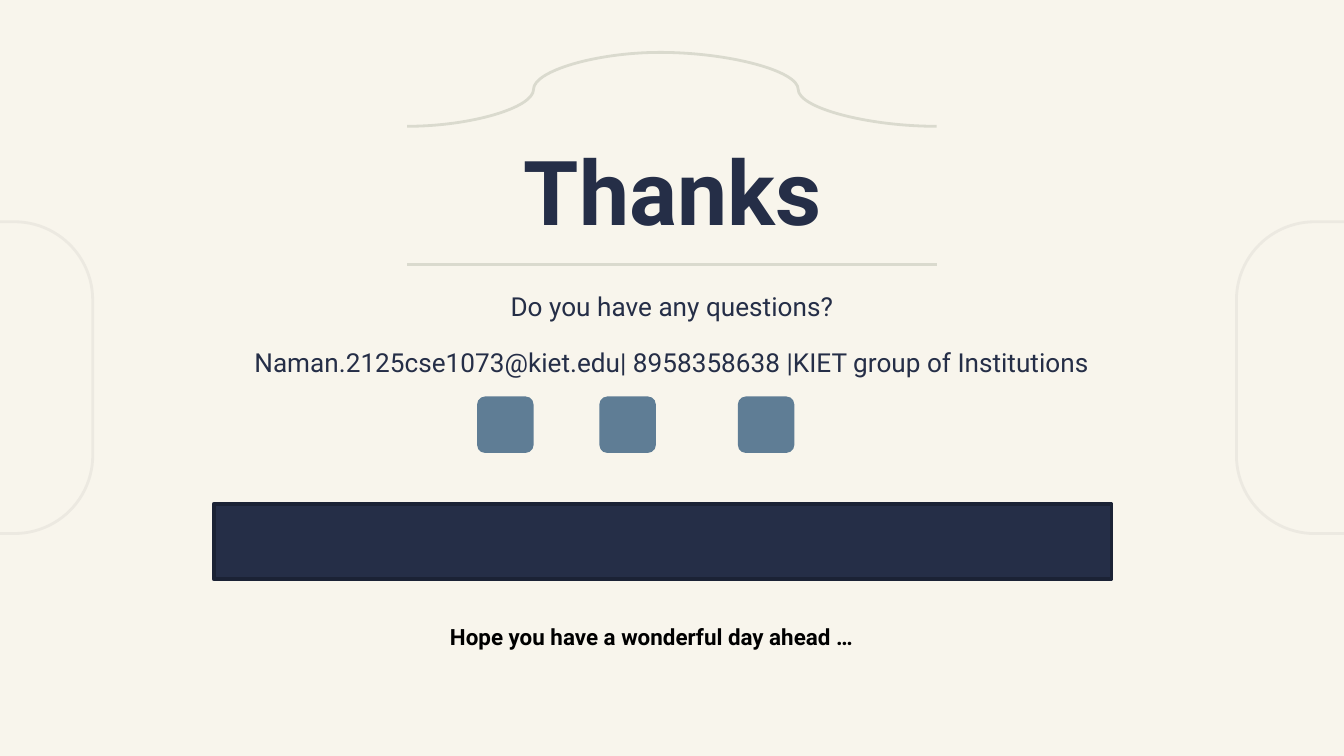
from lxml.etree import SubElement
from pptx import Presentation
from pptx.dml.color import RGBColor
from pptx.enum.shapes import MSO_CONNECTOR, MSO_SHAPE
from pptx.enum.text import MSO_ANCHOR, PP_ALIGN
from pptx.oxml.ns import qn
from pptx.util import Inches, Pt

# Content
TITLE = "Thanks"
CONTACT = [
    "Do you have any questions?",
    "Naman.2125cse1073@kiet.edu| 8958358638 |KIET group of Institutions",
]
CLOSING = "Hope you have a wonderful day ahead …"

# Positions in inches
SIDE_FRAME_LEFTS = [-1.25, 9.2]
ICON_LEFTS = [3.55, 4.46, 5.49]
LEFT, RIGHT, PEAK = 3.03, 6.97, 4.91
ARCH_TOP, ARCH_BASE, RULE_Y = 0.39, 0.94, 1.97

THEME = {
    "font": "Roboto",
    "bg": "F8F5EC", "ink": "252E47", "black": "000000",
    "frame": "ECE9E1", "rule": "DADACE", "icon": "5F7D95", "bar_edge": "1B2235",
    "title": 48, "body": 14, "closing": 12, "thin": 1.5, "bar_line": 2,
}


def color(name):
    return RGBColor.from_string(THEME[name])


def add_box(s, kind, box, fill=None, line=None, width="thin", radius=None):
    sp = s.shapes.add_shape(kind, *map(Inches, box))
    sp.shadow.inherit = False
    if radius is not None:
        sp.adjustments[0] = radius
    if fill:
        sp.fill.solid()
        sp.fill.fore_color.rgb = color(fill)
    else:
        sp.fill.background()
    if line:
        sp.line.color.rgb = color(line)
        sp.line.width = Pt(THEME[width])
    else:
        sp.line.fill.background()


def add_line(s, kind, x1, y1, x2, y2):
    ln = s.shapes.add_connector(kind, *map(Inches, (x1, y1, x2, y2)))
    ln.line.color.rgb = color("rule")
    ln.line.width = Pt(THEME["thin"])
    SubElement(ln._element.spPr, qn("a:effectLst"))


def set_text(sp, lines, size, ink, bold=False, align=PP_ALIGN.CENTER,
             anchor=MSO_ANCHOR.TOP, gap=0):
    tf = sp.text_frame
    tf.word_wrap = True
    tf.vertical_anchor = anchor
    tf.margin_left = tf.margin_right = tf.margin_top = tf.margin_bottom = Inches(0.1)
    for i, line in enumerate(lines):
        p = tf.add_paragraph() if i else tf.paragraphs[0]
        p.alignment = align
        p.space_before = Pt(gap if i else 0)
        r = p.add_run()
        r.text = line
        r.font.name = THEME["font"]
        r.font.size = Pt(THEME[size])
        r.font.bold = bold
        r.font.color.rgb = color(ink)


# Widescreen 16:9 slide
prs = Presentation()
prs.slide_width = Inches(10)
prs.slide_height = prs.slide_width * 9 // 16
s = prs.slides.add_slide(prs.slide_layouts[5])
s.background.fill.solid()
s.background.fill.fore_color.rgb = color("bg")

# Side frames, running off the slide edges
for x in SIDE_FRAME_LEFTS:
    add_box(s, MSO_SHAPE.ROUNDED_RECTANGLE, (x, 1.65, 1.94, 2.32),
            line="frame", radius=0.3)

# Title
title = s.shapes.title
title.left, title.top, title.width, title.height = map(Inches, (1.97, 0.92, 6.07, 0.99))
set_text(title, [TITLE], "title", "ink", bold=True, anchor=MSO_ANCHOR.MIDDLE)

# Contact lines and closing wish
contact = s.shapes.add_textbox(*map(Inches, (0.92, 2.06, 8.16, 0.99)))
set_text(contact, CONTACT, "body", "ink", gap=13)
closing = s.shapes.add_textbox(*map(Inches, (3.25, 4.54, 3.5, 0.4)))
set_text(closing, [CLOSING], "closing", "black", bold=True, align=PP_ALIGN.LEFT)

# Arch above the title and rule below it
for x in (LEFT, RIGHT):
    add_line(s, MSO_CONNECTOR.CURVE, x, ARCH_BASE, PEAK, ARCH_TOP)
add_line(s, MSO_CONNECTOR.STRAIGHT, LEFT, RULE_Y, RIGHT, RULE_Y)

# Plain social icon tiles
for x in ICON_LEFTS:
    add_box(s, MSO_SHAPE.ROUNDED_RECTANGLE, (x, 2.95, 0.42, 0.42),
            fill="icon", radius=0.14)

# Dark bar
add_box(s, MSO_SHAPE.RECTANGLE, (1.59, 3.75, 6.68, 0.56),
        fill="ink", line="bar_edge", width="bar_line")

prs.save("out.pptx")
